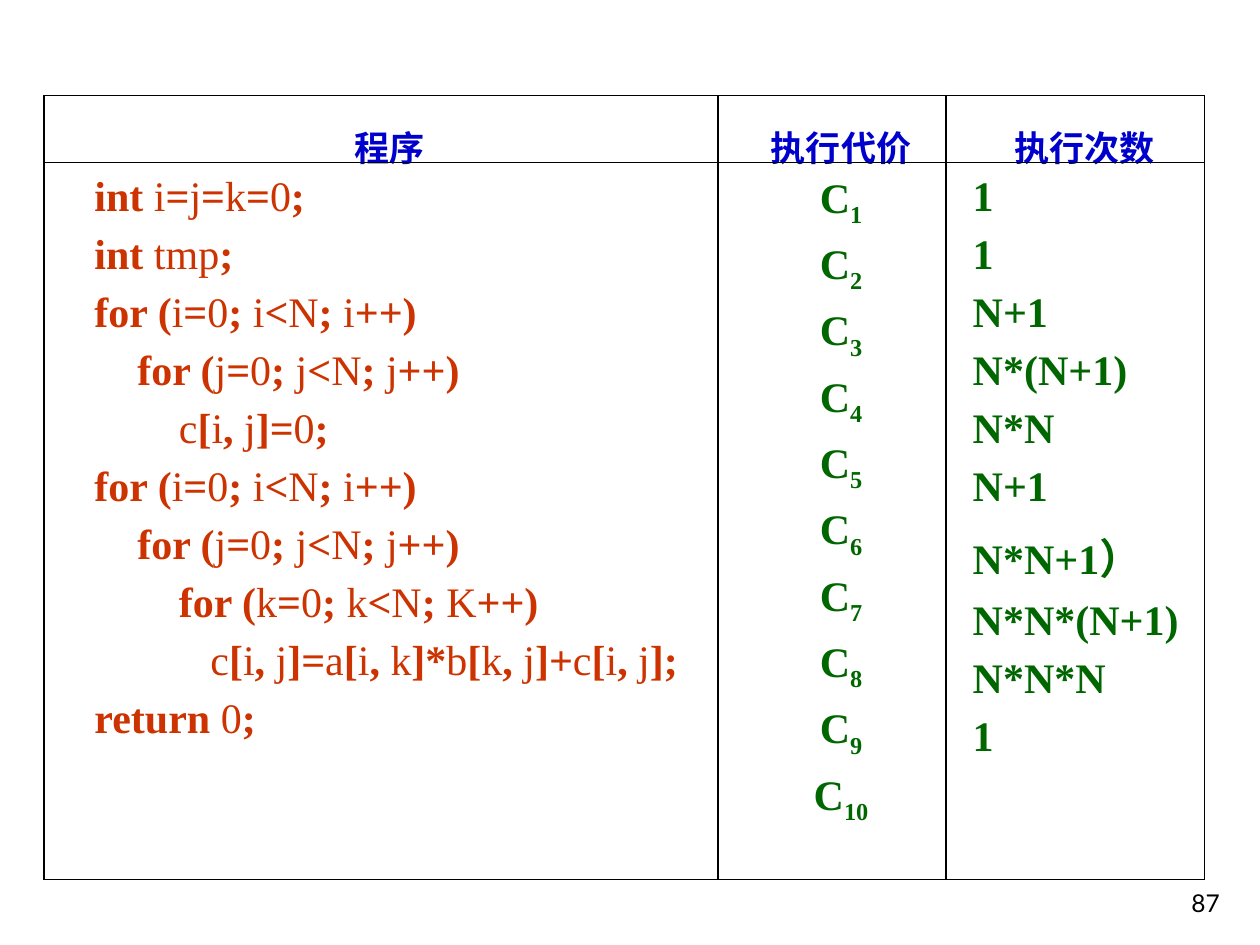
"""Build a slide with a table of program lines, their cost and their count."""
from itertools import groupby

from lxml import etree
from pptx import Presentation
from pptx.dml.color import RGBColor
from pptx.enum.text import MSO_ANCHOR, PP_ALIGN
from pptx.oxml.ns import qn
from pptx.util import Inches, Pt

LEFT, CENTER, RIGHT = PP_ALIGN.LEFT, PP_ALIGN.CENTER, PP_ALIGN.RIGHT
JUSTIFY, BOTTOM = PP_ALIGN.JUSTIFY, MSO_ANCHOR.BOTTOM
COLORS = {"header": "0000CC", "code": "CC3300", "cost": "006600",
          "border": "000000", "page": "000000"}
FONT = "Times New Roman"
COLUMNS = [5.35, 1.81, 2.05]
ROWS = [0.53, 5.38]
HEADERS = ["程序", "执行代价", "执行次数"]
KEYWORDS = {"int", "for", "return"}
CODE = [
    (0.33, "int i=j=k=0;"),
    (0.33, "int tmp;"),
    (0.33, "for (i=0; i<N; i++)"),
    (0.67, "for (j=0; j<N; j++)"),
    (1, "c[i, j]=0;"),
    (0.33, "for (i=0; i<N; i++)"),
    (0.67, "for (j=0; j<N; j++)"),
    (1, "for (k=0; k<N; K++)"),
    (1.25, "c[i, j]=a[i, k]*b[k, j]+c[i, j];"),
    (0.33, "return 0;"),
]
COUNTS = ["1", "1", "N+1", "N*(N+1)", "N*N", "N+1", "N*N+1）",
          "N*N*(N+1)", "N*N*N", "1"]


def style_font(font, name, size, color):
    font.name = name
    font.size = Pt(size)
    font.color.rgb = RGBColor.from_string(COLORS[color])


def add_line(tf, index, size, color, align, spacing, indent=0.14):
    p = tf.add_paragraph() if index else tf.paragraphs[0]
    p.alignment = align
    p.line_spacing = spacing
    style_font(p.font, FONT, size, color)
    p.font.bold = True
    pPr = p._p.get_or_add_pPr()
    pPr.set("marL", "0")
    pPr.set("indent", str(Inches(indent)))
    return p


def add_run(p, text):
    r = p.add_run()
    r.text = text
    return r


def add_border(cell):
    tcPr = cell._tc.get_or_add_tcPr()
    for i, side in enumerate(("lnL", "lnR", "lnT", "lnB")):
        ln = etree.Element(qn("a:" + side), w=str(Pt(1)))
        fill = etree.SubElement(ln, qn("a:solidFill"))
        etree.SubElement(fill, qn("a:srgbClr"), val=COLORS["border"])
        tcPr.insert(i, ln)


def add_grid(s):
    table = s.shapes.add_table(len(ROWS), len(COLUMNS), Inches(0.35), Inches(0.76),
                               Inches(sum(COLUMNS)), Inches(sum(ROWS))).table
    table.first_row = table.horz_banding = False
    for column, width in zip(table.columns, COLUMNS):
        column.width = Inches(width)
    for row, height in zip(table.rows, ROWS):
        row.height = Inches(height)
    for cell in table.iter_cells():
        cell.margin_left = cell.margin_right = Inches(0.07)
        cell.margin_top = cell.margin_bottom = 0
        cell.fill.background()
        add_border(cell)
    return table


def fill_header(table):
    for col, title in enumerate(HEADERS):
        p = add_line(table.cell(0, col).text_frame, 0, 20, "header", CENTER, 1.5)
        add_run(p, title)


def fill_code(tf):
    for i, (indent, line) in enumerate(CODE):
        p = add_line(tf, i, 24, "code", JUSTIFY, 1.25, indent)
        for is_word, chars in groupby(line, str.isalnum):
            text = "".join(chars)
            r = add_run(p, text)
            r.font.bold = not is_word or text in KEYWORDS


def fill_costs(tf):
    for i in range(len(CODE)):
        p = add_line(tf, i, 24, "cost", CENTER, 1.25)
        add_run(p, "C")
        r = add_run(p, str(i + 1))
        r.font._element.set("baseline", "-25000")


def fill_counts(tf):
    for i, count in enumerate(COUNTS):
        add_run(add_line(tf, i, 24, "cost", LEFT, 1.25), count)


def add_page_number(s, number):
    tf = s.shapes.add_textbox(Inches(7.7), Inches(6.83),
                              Inches(2.08), Inches(0.5)).text_frame
    tf.word_wrap = True
    tf.vertical_anchor = BOTTOM
    p = tf.paragraphs[0]
    p.alignment = RIGHT
    style_font(p.font, "Lato", 14, "page")
    add_run(p, number)


def main():
    prs = Presentation()
    prs.slide_width, prs.slide_height = Inches(10), Inches(7.5)
    s = prs.slides.add_slide(prs.slide_layouts[6])
    add_page_number(s, "87")
    table = add_grid(s)
    fill_header(table)
    fill_code(table.cell(1, 0).text_frame)
    fill_costs(table.cell(1, 1).text_frame)
    fill_counts(table.cell(1, 2).text_frame)
    prs.save("out.pptx")


main()
